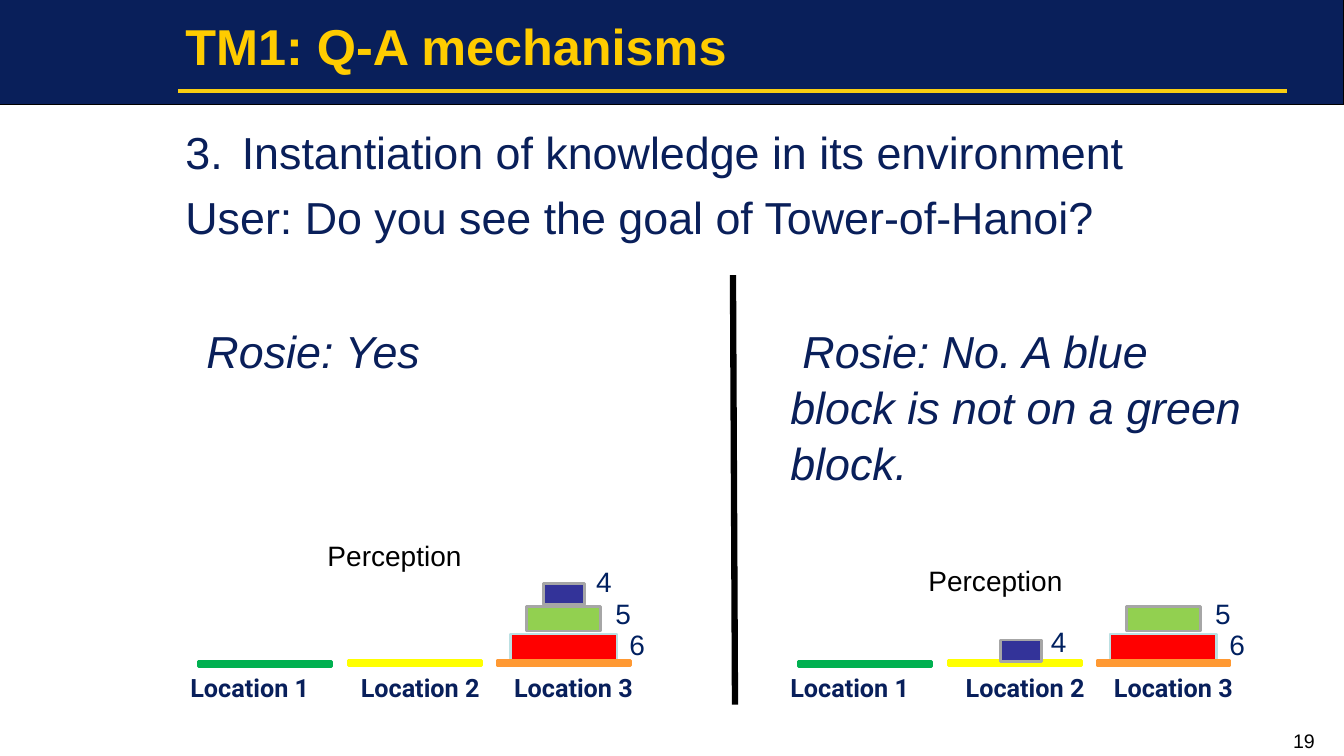
from lxml import etree
from pptx import Presentation, util as u
from pptx.dml.color import RGBColor
from pptx.enum import shapes, text
from pptx.oxml.ns import qn

PX = 9144  # one hundredth of an inch in EMU


def px(length):
    return u.Emu(length * PX)


def paint(color_format, color):
    color_format.rgb = RGBColor.from_string(color)


def format_text(paragraph, content, size=20, color="000000", font="Arial",
                bold=False, italic=False, align=text.PP_ALIGN.LEFT):
    run = paragraph.add_run()
    run.text = content
    run.font.size = u.Pt(size)
    run.font.name = font
    run.font.bold = bold
    run.font.italic = italic
    paint(run.font.color, color)
    paragraph.alignment = align


def indent(paragraph, left, first, number=None):
    """Set the left margin and first-line indent, with an optional list number."""
    properties = paragraph._p.get_or_add_pPr()
    properties.set("marL", str(left * PX))
    properties.set("indent", str(first * PX))
    if number:
        etree.SubElement(properties, qn("a:buFont"), typeface="+mj-lt")
        etree.SubElement(properties, qn("a:buAutoNum"),
                         type="arabicPeriod", startAt=str(number))


class Canvas:
    NAVY, GOLD, BLACK = "091F5A", "F9CD11", "000000"
    BODY = dict(size=32, color=NAVY)
    LABEL = dict(size=18, color="081F5B", font="Roboto", bold=True)
    DIGIT = dict(size=20, color="002060", align=text.PP_ALIGN.CENTER)
    BODY_SPACING = 1.04

    def __init__(self, presentation):
        self.slide = presentation.slides.add_slide(presentation.slide_layouts[6])

    def rect(self, left, top, width, height, fill, line, weight=2):
        shape = self.slide.shapes.add_shape(
            shapes.MSO_SHAPE.RECTANGLE, px(left), px(top), px(width), px(height))
        shape.shadow.inherit = False
        shape.fill.solid()
        paint(shape.fill.fore_color, fill)
        paint(shape.line.color, line)
        shape.line.width = u.Pt(weight)

    def line(self, x1, y1, x2, y2, color, weight):
        connector = self.slide.shapes.add_connector(
            shapes.MSO_CONNECTOR.STRAIGHT, px(x1), px(y1), px(x2), px(y2))
        paint(connector.line.color, color)
        connector.line.width = u.Pt(weight)
        etree.SubElement(connector._element.spPr, qn("a:effectLst"))

    def frame(self, left, top, width, height, anchor=text.MSO_ANCHOR.TOP):
        box = self.slide.shapes.add_textbox(px(left), px(top), px(width), px(height))
        box.text_frame.word_wrap = True
        box.text_frame.vertical_anchor = anchor
        return box.text_frame

    def text(self, left, top, width, height, content, **style):
        format_text(self.frame(left, top, width, height).paragraphs[0],
                    content, **style)

    def header(self, title):
        self.rect(0, 0, 1333, 104, self.NAVY, self.BLACK, 0.75)
        self.line(177, 90, 1276, 90, self.GOLD, 3)
        frame = self.frame(174, 0, 1098, 90, text.MSO_ANCHOR.MIDDLE)
        format_text(frame.paragraphs[0], title, size=36, color="FFCC00", bold=True)

    def question(self, number, topic, utterance):
        frame = self.frame(174, 117, 1100, 56)
        heading, body = frame.paragraphs[0], frame.add_paragraph()
        indent(heading, 56, -56, number)
        body.space_before = u.Pt(6.4)
        for paragraph, content in ((heading, topic), (body, utterance)):
            paragraph.line_spacing = self.BODY_SPACING
            format_text(paragraph, content, **self.BODY)

    def answer(self, left, content):
        paragraph = self.frame(left, 314, 473, 56).paragraphs[0]
        indent(paragraph, 0, 12)
        paragraph.line_spacing = self.BODY_SPACING
        format_text(paragraph, content, italic=True, **self.BODY)

    def perception(self, x, caption_x, caption_y, label2_x, blue_block, digit_4):
        """Draw three locations with their blocks, x being the left slab's edge."""
        self.text(caption_x, caption_y, 160, 44, "Perception")
        self.rect(x + 309, 629, 106, 26, "FF0000", "BBE0E3")
        slabs = ((0, 656, "00B050"), (149, 655, "FFFF00"), (296, 655, "FF9933"))
        for offset, top, color in slabs:
            self.rect(x + offset, top, 132, 5, color, color)
        self.rect(x + 325, 602, 74, 24, "92D050", "A6A6A6")
        self.rect(*blue_block, 41, 21, "333399", "A6A6A6")
        for number, left in enumerate((x - 18, label2_x, x + 303), start=1):
            self.text(left, 662, 146, 40, f"Location {number}", **self.LABEL)
        digits = {"4": digit_4, "5": (x + 383, 587), "6": (x + 397, 618)}
        for digit, (left, top) in digits.items():
            self.text(left, top, 76, 44, digit, **self.DIGIT)


def main():
    presentation = Presentation()
    presentation.slide_width, presentation.slide_height = px(1333), px(750)
    canvas = Canvas(presentation)
    canvas.header("TM1: Q-A mechanisms")
    canvas.question(3, "Instantiation of knowledge in its environment",
                    "User: Do you see the goal of Tower-of-Hanoi?")
    canvas.perception(197, 315, 529, 348, blue_block=(539, 579), digit_4=(561, 555))
    canvas.line(727, 273, 729, 699, canvas.BLACK, 4.5)
    canvas.perception(792, 911, 554, 948, blue_block=(992, 635), digit_4=(1012, 615))
    canvas.answer(183, "Rosie: Yes")
    canvas.answer(774, "Rosie: No. A blue block is not on a green block.")
    canvas.text(1156, 718, 158, 29, "19", size=14, align=text.PP_ALIGN.RIGHT)
    presentation.save("out.pptx")


if __name__ == "__main__":
    main()
